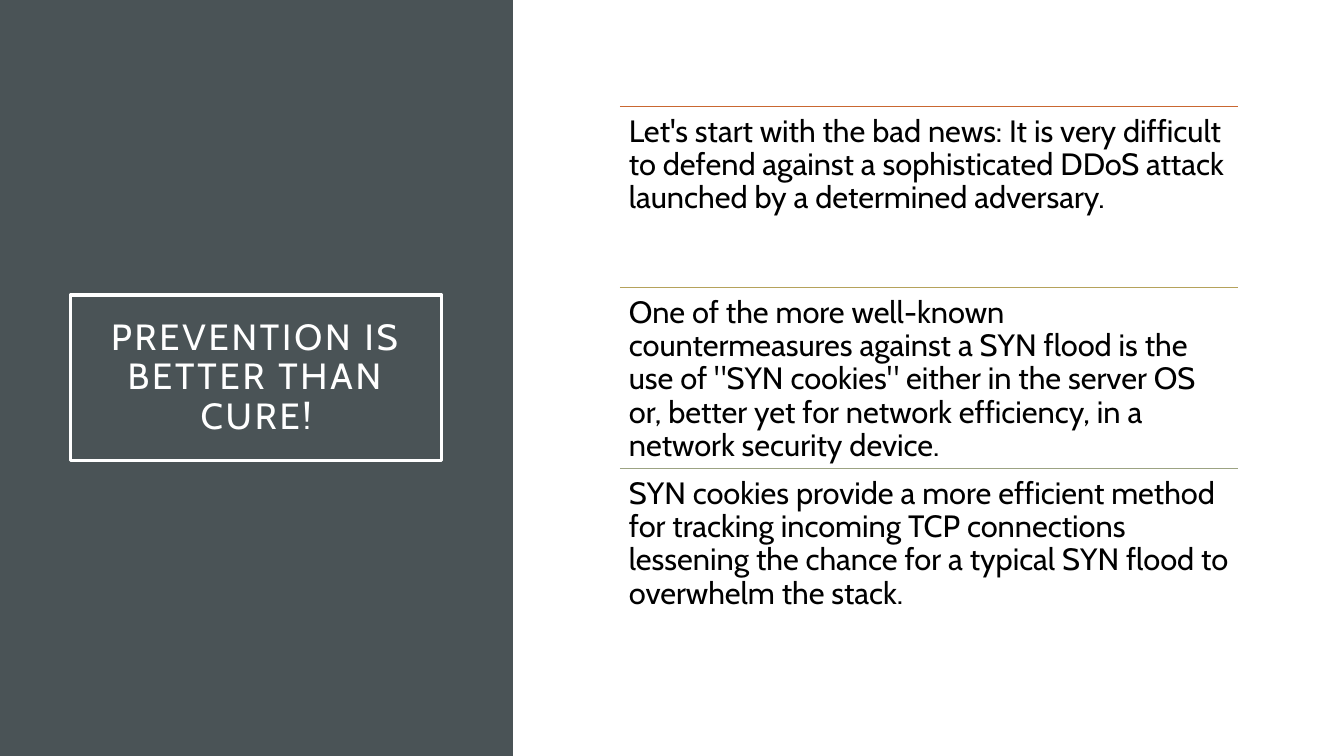
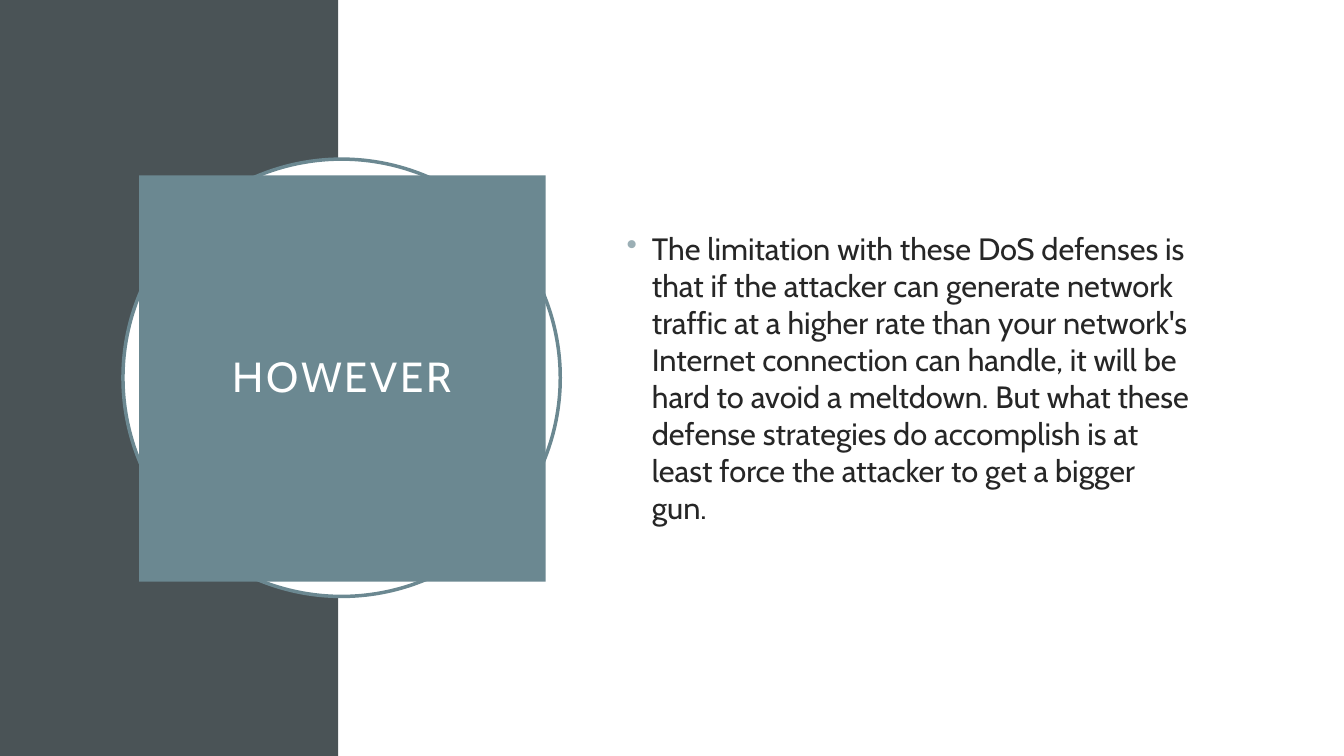
from lxml.etree import SubElement
from pptx import Presentation
from pptx.dml.color import RGBColor
from pptx.enum.shapes import MSO_CONNECTOR, MSO_SHAPE
from pptx.enum.text import MSO_ANCHOR, PP_ALIGN
from pptx.oxml.ns import qn
from pptx.util import Cm, Pt

COLORS = {
    "slate": "4A5356", "teal": "6B8891", "mist": "9BAFB5", "white": "FFFFFF",
    "black": "000000", "ink": "262626",
    "rust": "C96731", "straw": "B5A25B", "sage": "9CA383",
}
FONT = "Cabin"
WIDTH, HEIGHT = 33.87, 19.05


def rgb(name):
    """Return the named palette colour."""
    return RGBColor.from_string(COLORS[name])


def write(frame, text, *, size=22, color="black", align=PP_ALIGN.LEFT,
          anchor=MSO_ANCHOR.TOP, insets=(0.25, 0.13), line_spacing=None,
          before=0, tracking=0, bullet=None, indent=0):
    """Put one formatted paragraph in a text frame."""
    frame.word_wrap = True
    frame.vertical_anchor = anchor
    frame.margin_left = frame.margin_right = Cm(insets[0])
    frame.margin_top = frame.margin_bottom = Cm(insets[1])
    paragraph = frame.paragraphs[0]
    paragraph.alignment = align
    paragraph.space_before = Pt(before)
    if line_spacing:
        paragraph.line_spacing = line_spacing
    run = paragraph.add_run()
    run.text = text
    run.font.name, run.font.size = FONT, Pt(size)
    run.font.color.rgb = rgb(color)
    if tracking:
        run.font._element.set("spc", str(tracking * 100))
    if bullet:
        properties = paragraph._p.get_or_add_pPr()
        properties.set("marL", str(Cm(indent)))
        properties.set("indent", str(-Cm(indent)))
        bullet_color = SubElement(properties, qn("a:buClr"))
        SubElement(bullet_color, qn("a:srgbClr")).set("val", COLORS[bullet])
        SubElement(properties, qn("a:buChar")).set("char", "•")


class Deck:
    """Holds the presentation, its style and the current slide."""

    def __init__(self):
        """Start an empty widescreen presentation."""
        self.presentation = Presentation()
        self.presentation.slide_width = Cm(WIDTH)
        self.presentation.slide_height = Cm(HEIGHT)
        self.slide = None

    def new_slide(self, band_width):
        """Add a blank slide with the dark band on its left."""
        self.slide = self.presentation.slides.add_slide(
            self.presentation.slide_layouts[6])
        self.shape(0, 0, band_width, HEIGHT, fill="slate")

    def shape(self, left, top, width, height, *, kind=MSO_SHAPE.RECTANGLE,
              fill=None, line=None):
        """Add a flat preset shape."""
        shape = self.slide.shapes.add_shape(
            kind, Cm(left), Cm(top), Cm(width), Cm(height))
        shape.shadow.inherit = False
        if fill:
            shape.fill.solid()
            shape.fill.fore_color.rgb = rgb(fill)
        else:
            shape.fill.background()
        if line:
            shape.line.color.rgb = rgb(line)
            shape.line.width = Pt(2.5)
        else:
            shape.line.fill.background()
        return shape

    def title(self, text, left, top, width, height, *, size, **look):
        """Add a title in a framed or filled box."""
        box = self.shape(left, top, width, height, **look)
        write(box.text_frame, text, size=size, color="white",
              align=PP_ALIGN.CENTER, anchor=MSO_ANCHOR.MIDDLE,
              insets=(0.5, 0.5), line_spacing=0.9, tracking=2)

    def rule(self, left, top, width, color):
        """Add a thin horizontal line."""
        rule = self.slide.shapes.add_connector(
            MSO_CONNECTOR.STRAIGHT, Cm(left), Cm(top), Cm(left + width), Cm(top))
        rule.line.color.rgb = rgb(color)
        rule.line.width = Pt(0.5)
        SubElement(rule._element.spPr, qn("a:effectLst"))

    def text(self, text, left, top, width, height, **look):
        """Add a text box."""
        box = self.slide.shapes.add_textbox(
            Cm(left), Cm(top), Cm(width), Cm(height))
        write(box.text_frame, text, **look)


def prevention_slide(deck):
    """Build the slide of three ruled statements."""
    deck.new_slide(12.93)
    deck.title("PREVENTION IS BETTER THAN CURE!", 1.78, 7.44, 9.35, 4.17,
               size=26, line="white")
    statements = [
        ("rust", "Let's start with the bad news: It is very difficult to defend "
                 "against a sophisticated DDoS attack launched by a determined "
                 "adversary."),
        ("straw", "One of the more well-known countermeasures against a SYN flood "
                  "is the use of \"SYN cookies\" either in the server OS or, better "
                  "yet for network efficiency, in a network security device. "),
        ("sage", "SYN cookies provide a more efficient method for tracking incoming "
                 "TCP connections lessening the chance for a typical SYN flood to "
                 "overwhelm the stack."),
    ]
    left, first_top, width, row_height = 15.62, 2.69, 15.57, 4.56
    for row, (color, statement) in enumerate(statements):
        top = first_top + row * row_height
        deck.rule(left, top, width, color)
        deck.text(statement, left, top, width, row_height,
                  insets=(0.23, 0.23), line_spacing=0.9)


def however_slide(deck):
    """Build the slide on the limits of the defenses."""
    band_width = 8.53
    deck.new_slide(band_width)
    deck.shape(band_width, 0, WIDTH - band_width, HEIGHT, fill="white")
    deck.shape(3.1, 4.01, 11.02, 11.02, kind=MSO_SHAPE.OVAL,
               fill="white", line="teal")
    deck.title("HOWEVER", 3.51, 4.42, 10.24, 10.24, size=30, fill="teal")
    deck.text("The limitation with these DoS defenses is that if the attacker can "
              "generate network traffic at a higher rate than your network's "
              "Internet connection can handle, it will be hard to avoid a "
              "meltdown. But what these defense strategies do accomplish is at "
              "least force the attacker to get a bigger gun.",
              15.54, 3.89, 14.78, 11.25, color="ink", anchor=MSO_ANCHOR.MIDDLE,
              before=10, bullet="mist", indent=0.64)


deck = Deck()
prevention_slide(deck)
however_slide(deck)
deck.presentation.save("out.pptx")
